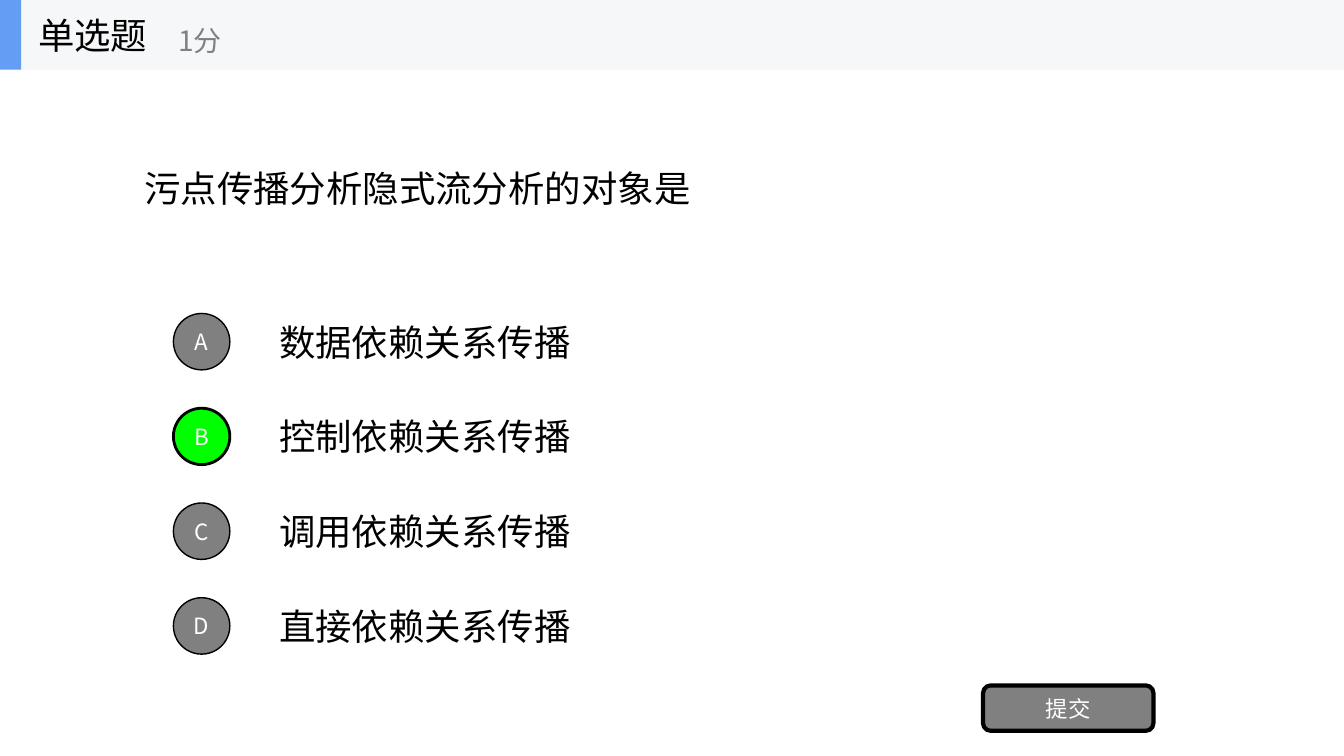
"""Build a single-choice quiz slide with four options and a submit button."""
import pptx
import pptx.dml.color
import pptx.enum.shapes
import pptx.enum.text
import pptx.oxml.ns
import pptx.util
from lxml import etree

Inches = pptx.util.Inches
Pt = pptx.util.Pt
RGBColor = pptx.dml.color.RGBColor
SHAPE = pptx.enum.shapes.MSO_SHAPE
ALIGN = pptx.enum.text.PP_ALIGN

QUESTION = "污点传播分析隐式流分析的对象是"
OPTIONS = [
    ("A", "数据依赖关系传播"),
    ("B", "控制依赖关系传播"),
    ("C", "调用依赖关系传播"),
    ("D", "直接依赖关系传播"),
]
ANSWER = "B"
QUESTION_TYPE = "单选题"
SCORE = "1分"
SUBMIT = "提交"

FONT = "Noto Sans CJK SC"
BLACK = RGBColor(0x00, 0x00, 0x00)
WHITE = RGBColor(0xFF, 0xFF, 0xFF)
GRAY = RGBColor(0x80, 0x80, 0x80)
GREEN = RGBColor(0x00, 0xFF, 0x00)
HEADER_GRAY = RGBColor(0xF6, 0xF7, 0xF8)
ACCENT_BLUE = RGBColor(0x63, 0x9E, 0xF4)

SLIDE_WIDTH, SLIDE_HEIGHT = 13.33, 7.5
HEADER_HEIGHT = 0.69
OPTION_TOP, OPTION_PITCH, OPTION_HEIGHT = 3.04, 0.94, 0.7
BADGE_SIZE = 0.56


def write(holder, text, size=26, color=BLACK, align=ALIGN.LEFT, margin=0.1):
    frame = holder.text_frame
    frame.word_wrap = True
    frame.auto_size = pptx.enum.text.MSO_AUTO_SIZE.NONE
    frame.vertical_anchor = pptx.enum.text.MSO_ANCHOR.MIDDLE
    frame.margin_left = frame.margin_right = Inches(margin)
    frame.margin_top = frame.margin_bottom = Inches(margin / 2)
    paragraph = frame.paragraphs[0]
    paragraph.alignment = align
    run = paragraph.add_run()
    run.text = text
    run.font.size = Pt(size)
    run.font.color.rgb = color
    run.font.name = FONT
    east_asian = etree.SubElement(run.font._element, pptx.oxml.ns.qn("a:ea"))
    east_asian.set("typeface", FONT)


def add_block(shapes, preset, box, fill, line_width=0):
    block = shapes.add_shape(preset, *map(Inches, box))
    block.shadow.inherit = False
    block.fill.solid()
    block.fill.fore_color.rgb = fill
    if line_width:
        block.line.color.rgb = BLACK
        block.line.width = Pt(line_width)
    else:
        block.line.fill.background()
    return block


def add_label(shapes, box, text, **style):
    write(shapes.add_textbox(*map(Inches, box)), text, **style)


def add_button(shapes, preset, box, text, fill, line_width):
    button = add_block(shapes, preset, box, fill, line_width)
    write(button, text, size=16, color=WHITE, align=ALIGN.CENTER, margin=0)


def main():
    deck = pptx.Presentation()
    deck.slide_width = Inches(SLIDE_WIDTH)
    deck.slide_height = Inches(SLIDE_HEIGHT)
    slide = deck.slides.add_slide(deck.slide_layouts[5])
    shapes = slide.shapes

    question = shapes.title
    question.left, question.top = Inches(1.33), Inches(HEADER_HEIGHT)
    question.width, question.height = Inches(10.67), Inches(2.34)
    write(question, QUESTION)

    badge_inset = (OPTION_HEIGHT - BADGE_SIZE) / 2
    for row, (letter, option) in enumerate(OPTIONS):
        top = OPTION_TOP + row * OPTION_PITCH
        correct = letter == ANSWER
        add_label(shapes, (2.67, top, 9.33, OPTION_HEIGHT), option)
        add_button(shapes, SHAPE.OVAL,
                   (1.72, top + badge_inset, BADGE_SIZE, BADGE_SIZE), letter,
                   fill=GREEN if correct else GRAY,
                   line_width=2 if correct else 1)

    add_button(shapes, SHAPE.ROUNDED_RECTANGLE, (9.75, 6.8, 1.69, 0.45),
               SUBMIT, fill=GRAY, line_width=3)

    header = shapes.add_group_shape().shapes
    add_block(header, SHAPE.RECTANGLE, (0, 0, SLIDE_WIDTH, HEADER_HEIGHT), HEADER_GRAY)
    add_block(header, SHAPE.RECTANGLE, (0, 0, 0.21, HEADER_HEIGHT), ACCENT_BLUE)
    add_label(header, (0.28, 0, 2.08, HEADER_HEIGHT), QUESTION_TYPE)
    add_label(header, (1.67, 0.12, 2.5, 0.56), SCORE, size=20, color=GRAY)

    deck.save("out.pptx")


if __name__ == "__main__":
    main()
